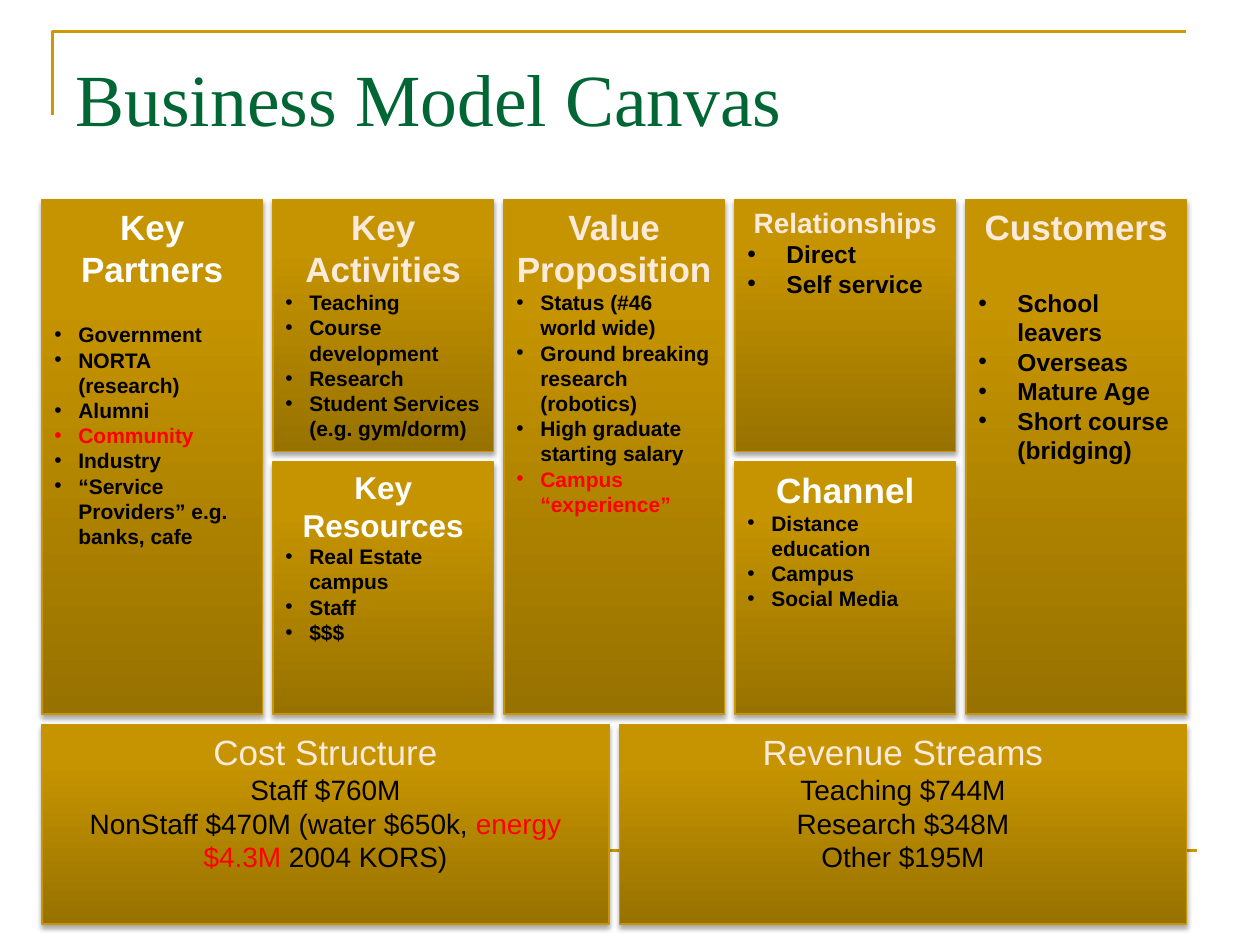
from dataclasses import dataclass

from lxml import etree
from pptx import Presentation
from pptx.dml.color import RGBColor
from pptx.enum.shapes import MSO_CONNECTOR, MSO_SHAPE
from pptx.enum.text import MSO_ANCHOR, PP_ALIGN
from pptx.oxml.ns import qn
from pptx.util import Inches, Pt

RECT = MSO_SHAPE.RECTANGLE
STRAIGHT = MSO_CONNECTOR.STRAIGHT
TOP = MSO_ANCHOR.TOP
LEFT, CENTER = PP_ALIGN.LEFT, PP_ALIGN.CENTER
TITLE_ONLY = 5


@dataclass(frozen=True)
class Theme:
    title_font: str = "Times New Roman"
    body_font: str = "Arial"
    green: str = "006633"
    rule: str = "CC9900"
    edge: str = "C89600"
    gold: str = "C69400"
    dark_gold: str = "987200"
    cream: str = "FDEADA"
    white: str = "FFFFFF"
    black: str = "000000"
    red: str = "FF0000"
    title: int = 42
    heading: int = 20
    subheading: int = 18
    large: int = 16
    medium: int = 14
    small: int = 12


T = Theme()

# The slide is a grid of 120 columns by 90 rows
COLUMNS, ROWS = 120, 90
WIDTH, HEIGHT = Inches(10), Inches(7.5)
MARGIN, GAP = 4, 1
BLOCK_W, BLOCK_H = 21, 24
BLOCK_TOP = 19
TOTAL_TOP, TOTAL_W, TOTAL_H = 69, 54, 19


def x(columns):
    return round(WIDTH * columns / COLUMNS)


def y(rows):
    return round(HEIGHT * rows / ROWS)


def color(value):
    return RGBColor.from_string(value)


def add_run(p, text, size, fill, bold=False, font=T.body_font):
    r = p.add_run()
    r.text = text
    r.font.name, r.font.size, r.font.bold = font, Pt(size), bold
    r.font.color.rgb = color(fill)


def add_bullet(p, indent):
    pPr = p._p.get_or_add_pPr()
    pPr.set("marL", str(Inches(indent)))
    pPr.set("indent", str(-Inches(indent)))
    etree.SubElement(pPr, qn("a:buFont")).set("typeface", T.body_font)
    etree.SubElement(pPr, qn("a:buChar")).set("char", "•")


def add_shadow(sp):
    sp.shadow.inherit = False
    effects = sp._element.spPr.find(qn("a:effectLst"))
    shadow = etree.SubElement(effects, qn("a:outerShdw"), blurRad=str(Pt(3.1)),
                              dist=str(Pt(1.8)), dir="5400000", rotWithShape="0")
    black = etree.SubElement(shadow, qn("a:srgbClr"), val=T.black)
    etree.SubElement(black, qn("a:alpha"), val="35000")


def add_card(s, box, heading, size, fill, bold):
    """Gold card with a centred heading; returns its text frame."""
    left, top, width, height = box
    sp = s.shapes.add_shape(RECT, x(left), y(top), x(width), y(height))
    sp.fill.gradient()
    sp.fill.gradient_angle = 90
    stops = zip(sp.fill.gradient_stops, (0, 0.8), (T.dark_gold, T.gold))
    for stop, position, tone in stops:
        stop.position, stop.color.rgb = position, color(tone)
    sp.line.color.rgb, sp.line.width = color(T.edge), Pt(0.75)
    add_shadow(sp)
    tf = sp.text_frame
    tf.word_wrap, tf.vertical_anchor = True, TOP
    p = tf.paragraphs[0]
    p.alignment = CENTER
    add_run(p, heading, size, fill, bold)
    return tf


def add_block(s, box, heading, items, size=T.heading, fill=T.cream,
              item_size=T.small, space=0, red=()):
    """Canvas block: bold heading over a bulleted list."""
    tf = add_card(s, box, heading, size, fill, True)
    tf.paragraphs[0].space_after = Pt(space)
    for item in items:
        p = tf.add_paragraph()
        p.alignment = LEFT
        add_bullet(p, 0.19 if item_size == T.small else 0.31)
        add_run(p, item, item_size, T.red if item in red else T.black, True)


def add_total(s, box, heading, lines):
    """Money block: heading over centred lines, each a list of runs."""
    tf = add_card(s, box, heading, T.heading, T.cream, False)
    for line in lines:
        p = tf.add_paragraph()
        p.alignment = CENTER
        for text, fill in line:
            add_run(p, text, T.large, fill)


def add_header(s, box):
    """Corner rule and title, placed from the corner of the rule."""
    left, top, width, height = box
    builder = s.shapes.build_freeform(x(left), y(top + height))
    builder.add_line_segments([(x(left), y(top)), (x(left + width), y(top))], close=False)
    corner = builder.convert_to_shape()
    corner.fill.background()
    corner.line.color.rgb, corner.line.width = color(T.rule), Pt(1.5)
    corner.shadow.inherit = False

    title = s.shapes.title
    title.left, title.top = x(left + 1), y(top + 0.6)
    title.width, title.height = x(width), y(15)
    tf = title.text_frame
    tf.word_wrap, tf.vertical_anchor = True, TOP
    tf.margin_top = Inches(0.12)
    p = tf.paragraphs[0]
    p.alignment = LEFT
    add_run(p, "Business Model Canvas", T.title, T.green, font=T.title_font)


def add_footer_rule(s, left, top, width):
    rule = s.shapes.add_connector(STRAIGHT, x(left), y(top), x(left + width), y(top))
    rule.line.color.rgb, rule.line.width = color(T.rule), Pt(1.5)
    etree.SubElement(rule._element.spPr, qn("a:effectLst"))


def block_box(column, row=0, rows=1):
    return (MARGIN + column * (BLOCK_W + GAP), BLOCK_TOP + row * (BLOCK_H + GAP),
            BLOCK_W, rows * (BLOCK_H + GAP) - GAP)


def total_box(column):
    return MARGIN + column * (TOTAL_W + GAP), TOTAL_TOP, TOTAL_W, TOTAL_H


def add_canvas(s):
    # Upper blocks, left to right
    add_block(s, block_box(0, rows=2), "Key Partners",
              ["Government", "NORTA (research)", "Alumni", "Community", "Industry",
               "“Service Providers” e.g. banks, cafe"],
              fill=T.white, space=18.4, red=["Community"])
    add_block(s, block_box(1), "Key Activities",
              ["Teaching", "Course development", "Research",
               "Student Services (e.g. gym/dorm)"])
    add_block(s, block_box(1, 1), "Key Resources",
              ["Real Estate campus", "Staff", "$$$"], size=T.subheading, fill=T.white)
    add_block(s, block_box(2, rows=2), "Value Proposition",
              ["Status (#46 world wide)", "Ground breaking research (robotics)",
               "High graduate starting salary", "Campus “experience”"],
              red=["Campus “experience”"])
    add_block(s, block_box(3), "Relationships", ["Direct", "Self service"],
              size=T.large, item_size=T.medium)
    add_block(s, block_box(3, 1), "Channel",
              ["Distance education", "Campus", "Social Media"], fill=T.white)
    add_block(s, block_box(4, rows=2), "Customers",
              ["School leavers", "Overseas", "Mature Age", "Short course (bridging)"],
              item_size=T.medium, space=23)

    # Costs and revenue
    add_total(s, total_box(0), "Cost Structure",
              [[("Staff $760M", T.black)],
               [("NonStaff $470M (water $650k, ", T.black), ("energy $4.3M", T.red),
                (" 2004 KORS)", T.black)]])
    add_total(s, total_box(1), "Revenue Streams",
              [[(line, T.black)] for line in
               ("Teaching $744M", "Research $348M", "Other $195M")])


def main():
    prs = Presentation()
    prs.slide_width, prs.slide_height = WIDTH, HEIGHT
    s = prs.slides.add_slide(prs.slide_layouts[TITLE_ONLY])
    add_header(s, (5, 3, 108, 8))
    add_footer_rule(s, 6, 81, 108)
    add_canvas(s)
    prs.save("out.pptx")


if __name__ == "__main__":
    main()
